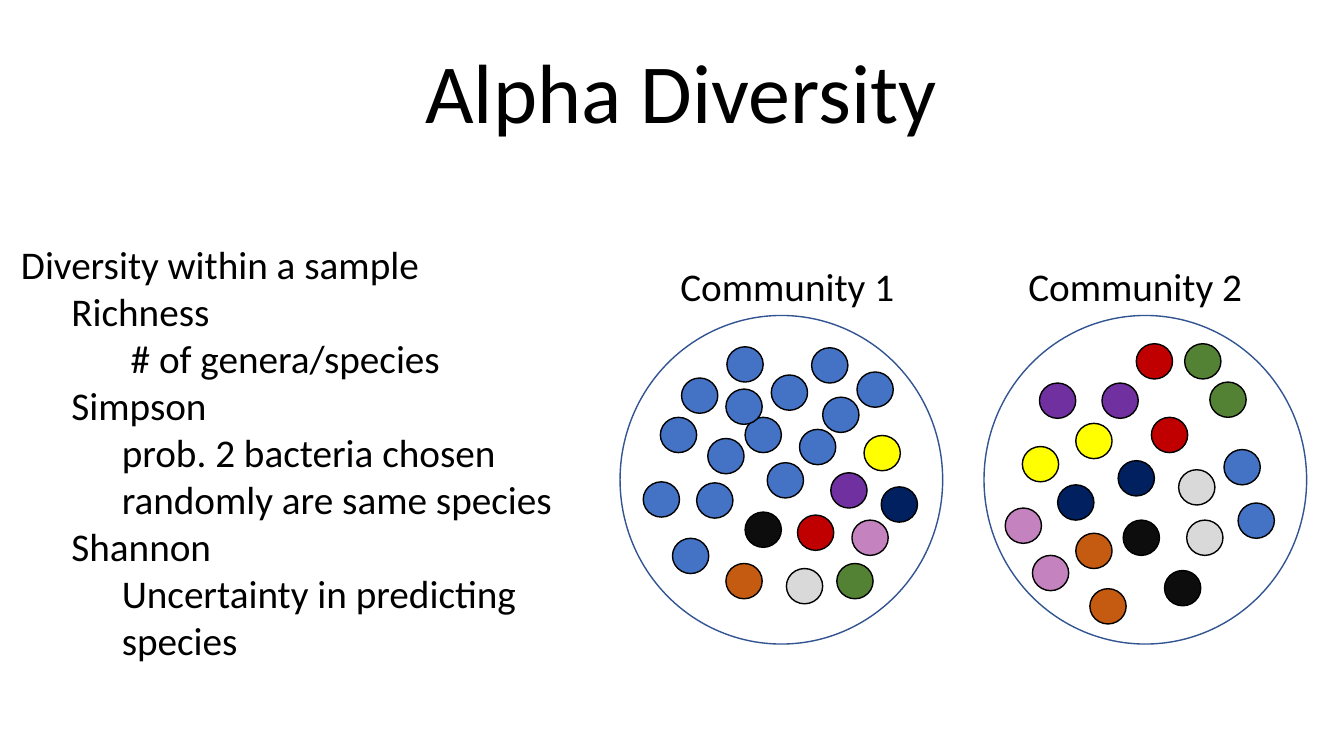
import pptx
import pptx.util
import pptx.dml.color
import pptx.enum.shapes
import pptx.enum.text

Inches = pptx.util.Inches
RGBColor = pptx.dml.color.RGBColor

BLACK = RGBColor(0x00, 0x00, 0x00)
OUTLINE = RGBColor(0x32, 0x54, 0x91)
BLUE = RGBColor(0x44, 0x72, 0xC4)
CHARCOAL = RGBColor(0x0D, 0x0D, 0x0D)
PURPLE = RGBColor(0x70, 0x30, 0xA0)
ORANGE = RGBColor(0xC5, 0x5A, 0x11)
RED = RGBColor(0xC0, 0x00, 0x00)
GREY = RGBColor(0xD9, 0xD9, 0xD9)
YELLOW = RGBColor(0xFF, 0xFF, 0x00)
NAVY = RGBColor(0x00, 0x20, 0x60)
PINK = RGBColor(0xC4, 0x83, 0xBF)
GREEN = RGBColor(0x54, 0x82, 0x35)

INDENT = 0.5
COMMUNITY_SIZE = (3.2, 3.26)
BACTERIUM_SIZE = (0.36, 0.35)

MEASURES = [
    (0, "Diversity within a sample"),
    (1, "Richness"),
    (2, " # of genera/species"),
    (1, "Simpson"),
    (2, "prob. 2 bacteria chosen randomly are same species"),
    (1, "Shannon"),
    (2, "Uncertainty in predicting species"),
]

# Bacteria of each species, as offsets from the corner of the community.
# The order is the stacking order: the blue ones overlap.
COMMUNITY_1 = {
    BLUE: [(0.61, 0.62), (0.4, 1.01), (1.06, 0.31), (1.24, 1.01),
           (0.76, 1.66), (1.5, 0.59), (0.87, 1.22), (0.23, 1.65),
           (0.52, 2.21), (1.46, 1.46), (2.01, 0.81), (1.9, 0.32),
           (1.78, 1.13), (2.35, 0.56), (1.05, 0.73)],
    CHARCOAL: [(1.24, 1.95)],
    PURPLE: [(2.09, 1.56)],
    ORANGE: [(1.05, 2.46)],
    RED: [(1.76, 1.98)],
    GREY: [(1.65, 2.51)],
    YELLOW: [(2.42, 1.19)],
    NAVY: [(2.59, 1.7)],
    PINK: [(2.3, 2.03)],
    GREEN: [(2.15, 2.46)],
}
COMMUNITY_2 = {
    PURPLE: [(0.55, 0.67), (1.17, 0.67)],
    YELLOW: [(0.38, 1.3), (0.91, 1.07)],
    GREEN: [(2.24, 0.66), (1.99, 0.28)],
    RED: [(1.51, 0.28), (1.66, 1.01)],
    ORANGE: [(0.91, 2.16), (1.05, 2.71)],
    NAVY: [(1.33, 1.44), (0.73, 1.68)],
    BLUE: [(2.38, 1.33), (2.52, 1.86)],
    GREY: [(1.93, 1.53), (2.01, 2.03)],
    CHARCOAL: [(1.38, 2.03), (1.79, 2.53)],
    PINK: [(0.21, 1.91), (0.48, 2.38)],
}


def add_text(slide, left, top, width, height, lines, size):
    """Add a text box of (level, text) lines and return its text frame."""
    frame = slide.shapes.add_textbox(
        Inches(left), Inches(top), Inches(width), Inches(height)).text_frame
    frame.word_wrap = True
    for index, (level, text) in enumerate(lines):
        paragraph = frame.paragraphs[0] if index == 0 else frame.add_paragraph()
        paragraph.text = text
        paragraph.level = level
        paragraph.font.name = "Calibri"
        paragraph.font.size = pptx.util.Pt(size)
        paragraph.font.color.rgb = BLACK
        properties = paragraph._p.get_or_add_pPr()
        properties.set("marL", str(Inches(level * INDENT)))
        properties.set("indent", "0")
    return frame


def add_title(slide, left, top, width, height):
    frame = add_text(slide, left, top, width, height, [(0, "Alpha Diversity")], 60)
    frame.vertical_anchor = pptx.enum.text.MSO_ANCHOR.MIDDLE
    frame.paragraphs[0].alignment = pptx.enum.text.PP_ALIGN.CENTER
    frame.paragraphs[0].line_spacing = 0.9


def add_ellipse(slide, left, top, size, line, fill=None):
    ellipse = slide.shapes.add_shape(
        pptx.enum.shapes.MSO_SHAPE.OVAL,
        Inches(left), Inches(top), Inches(size[0]), Inches(size[1]))
    ellipse.shadow.inherit = False
    ellipse.line.color.rgb = line
    ellipse.line.width = pptx.util.Pt(1)
    if fill is None:
        ellipse.fill.background()
    else:
        ellipse.fill.solid()
        ellipse.fill.fore_color.rgb = fill


def add_community(slide, left, top, label, label_left, species):
    add_ellipse(slide, left, top, COMMUNITY_SIZE, OUTLINE)
    add_text(slide, label_left, top - 0.58, 2.52, 0.57, [(0, label)], 28)
    for colour, bacteria in species.items():
        for x, y in bacteria:
            add_ellipse(slide, left + x, top + y, BACTERIUM_SIZE, BLACK, colour)


def main():
    presentation = pptx.Presentation()
    presentation.slide_width = Inches(13.33)
    presentation.slide_height = Inches(7.5)
    slide = presentation.slides.add_slide(presentation.slide_layouts[6])
    add_title(slide, 0.18, -0.02, 13.15, 1.96)
    add_text(slide, 0.11, 2.33, 5.8, 4.81, MEASURES, 28)
    add_community(slide, 6.15, 3.13, "Community 1", 6.65, COMMUNITY_1)
    add_community(slide, 9.76, 3.13, "Community 2", 10.1, COMMUNITY_2)
    presentation.save("out.pptx")


if __name__ == "__main__":
    main()
